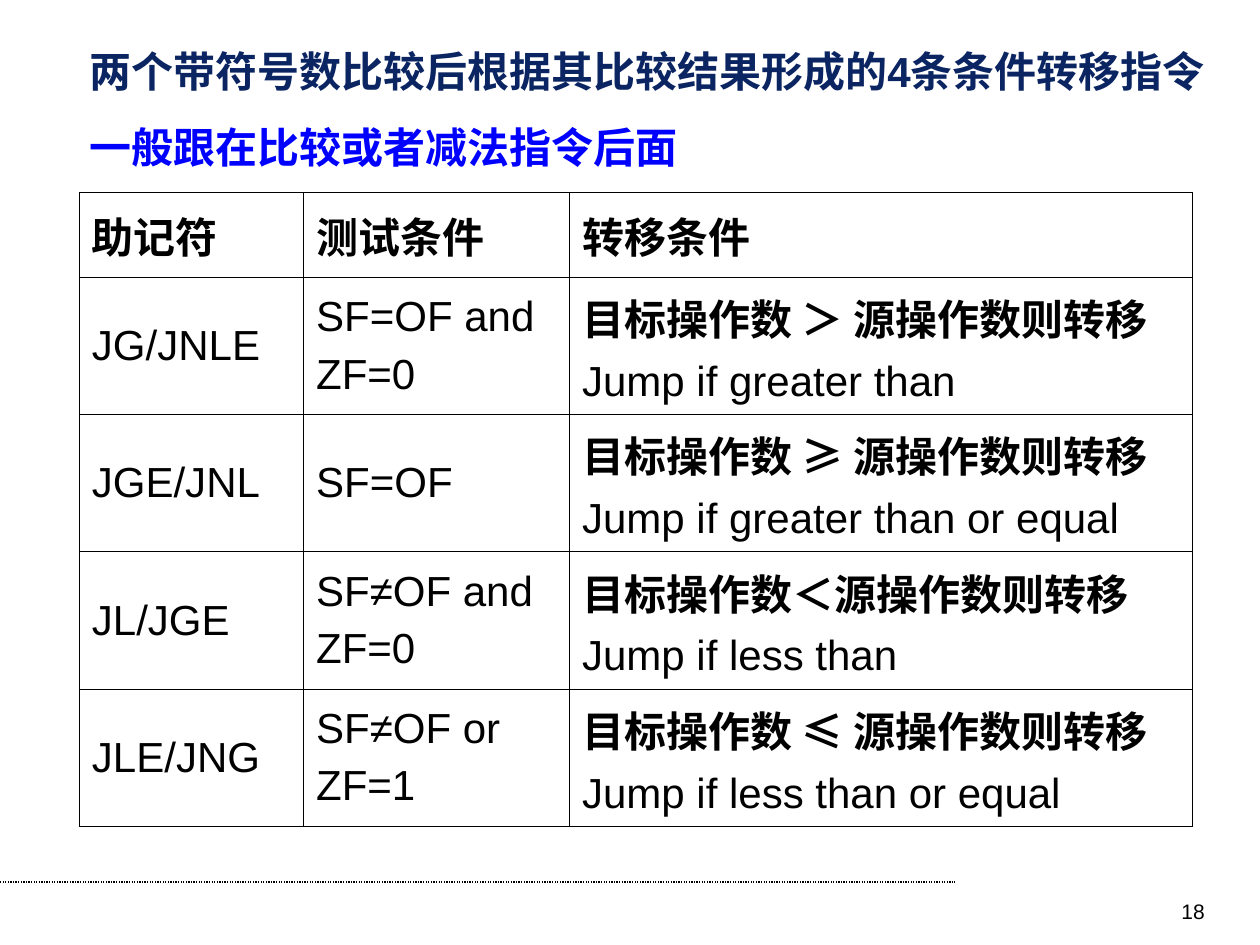
from pptx import Presentation
from pptx.dml.color import RGBColor
from pptx.enum.dml import MSO_LINE as Dash
from pptx.enum.shapes import MSO_CONNECTOR as Link
from pptx.enum.text import MSO_ANCHOR as Anchor, MSO_AUTO_SIZE as Fit, PP_ALIGN as Align
from pptx.oxml import parse_xml
from pptx.oxml.ns import nsdecls
from pptx.util import Inches, Pt

BLACK, NAVY, BLUE = "000000", "0A2562", "0000FF"

HEAD = ["助记符", "测试条件", "转移条件"]
JUMPS = [
    ["JG/JNLE", "SF=OF and\nZF=0", "目标操作数 ＞ 源操作数则转移\nJump if greater than"],
    ["JGE/JNL", "SF=OF", "目标操作数 ≥ 源操作数则转移\nJump if greater than or equal"],
    ["JL/JGE", "SF≠OF and\nZF=0", "目标操作数＜源操作数则转移\nJump if less than"],
    ["JLE/JNG", "SF≠OF or\nZF=1", "目标操作数 ≤ 源操作数则转移\nJump if less than or equal"],
]


def color(code):
    return RGBColor.from_string(code)


class Deck:
    font = "Arial"
    size = 24

    def __init__(self, width, height):
        self.prs = Presentation()
        self.prs.slide_width, self.prs.slide_height = Inches(width), Inches(height)
        self.slide = self.prs.slides.add_slide(self.prs.slide_layouts[5])

    def style(self, para, ink=BLACK, bold=False, size=size, align=Align.LEFT, before=0):
        para.alignment = align
        para.space_before = Pt(before)
        for run in para.runs:
            font = run.font
            font.name, font.size, font.bold = self.font, Pt(size), bold
            font.color.rgb = color(ink)

    def title(self, box, lines):
        shape = self.slide.shapes.title
        shape.left, shape.top, shape.width, shape.height = map(Inches, box)
        frame = shape.text_frame
        frame.text = "\n".join(text for text, ink in lines)
        frame.word_wrap = True
        frame.margin_right = 0  # the long first line needs the full width
        frame.auto_size = Fit.NONE
        frame.vertical_anchor = Anchor.TOP
        for num, (para, (text, ink)) in enumerate(zip(frame.paragraphs, lines)):
            self.style(para, ink, bold=True, before=15 if num else 0)

    def text(self, box, words, **look):
        frame = self.slide.shapes.add_textbox(*map(Inches, box)).text_frame
        frame.word_wrap = True
        frame.text = words
        self.style(frame.paragraphs[0], **look)

    def line(self, start, end, ink=BLACK, width=0.75):
        rule = self.slide.shapes.add_connector(
            Link.STRAIGHT, *map(Inches, start + end))
        rule.line.color.rgb = color(ink)
        rule.line.width = Pt(width)
        rule.line.dash_style = Dash.ROUND_DOT
        rule._element.spPr.append(parse_xml(f"<a:effectLst {nsdecls('a')}/>"))

    def border(self, cell, ink=BLACK, width=0.45):
        props = cell._tc.get_or_add_tcPr()
        for side in "LRTB":
            props.append(parse_xml(
                f'<a:ln{side} {nsdecls("a")} w="{Pt(width)}"><a:solidFill>'
                f'<a:srgbClr val="{ink}"/></a:solidFill></a:ln{side}>'))

    def table(self, left, top, cols, rows, data):
        box = map(Inches, (left, top, sum(cols), sum(rows)))
        grid = self.slide.shapes.add_table(len(rows), len(cols), *box).table
        grid.first_row = grid.horz_banding = False
        for col, width in zip(grid.columns, cols):
            col.width = Inches(width)
        for row, height in zip(grid.rows, rows):
            row.height = Inches(height)
        for i, items in enumerate(data):
            for j, words in enumerate(items):
                cell = grid.cell(i, j)
                self.border(cell)
                cell.fill.background()
                cell.vertical_anchor = Anchor.MIDDLE
                cell.text_frame.text = words
                for num, para in enumerate(cell.text_frame.paragraphs):
                    # Bold: the head row and first lines of the last column
                    bold = i == 0 or (j == 2 and num == 0)
                    self.style(para, bold=bold, before=6 if num else 0)

    def save(self):
        self.prs.save("out.pptx")


def main():
    deck = Deck(10, 7.5)

    # Footer rule
    deck.line((0, 7), (7.58, 7))

    # Title
    deck.title((0.61, 0.31, 9.3, 1.11), [
        ("两个带符号数比较后根据其比较结果形成的4条条件转移指令", NAVY),
        ("一般跟在比较或者减法指令后面", BLUE),
    ])

    # Jump table
    deck.table(0.63, 1.53, [1.78, 2.11, 4.94], [0.67] + [1.09] * len(JUMPS),
               [HEAD] + JUMPS)

    # Page number
    deck.text((7.33, 7.08, 2.33, 0.27), "18", size=12, align=Align.RIGHT)

    deck.save()


if __name__ == "__main__":
    main()
